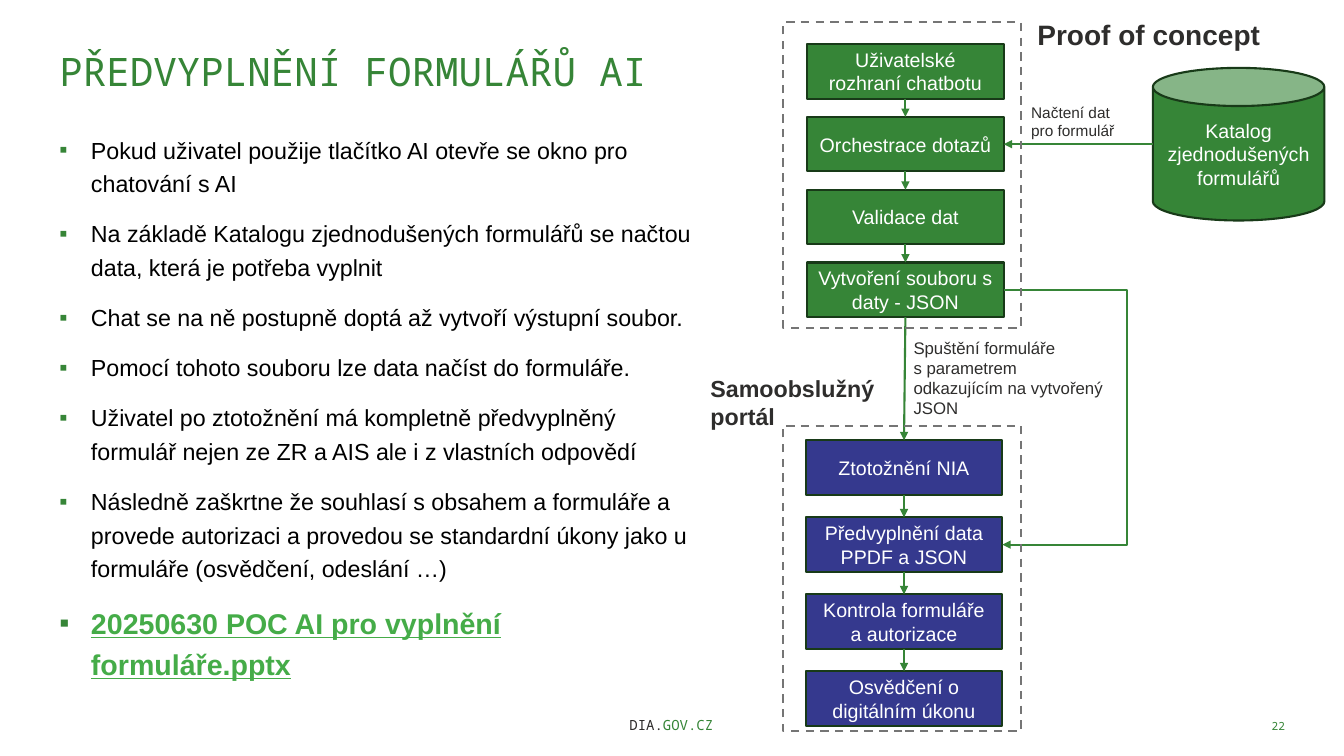
from itertools import pairwise

from lxml.etree import SubElement
from pptx import Presentation
from pptx.dml.color import RGBColor
from pptx.enum.dml import MSO_LINE
from pptx.enum.shapes import MSO_CONNECTOR, MSO_SHAPE
from pptx.enum.text import MSO_ANCHOR, MSO_AUTO_SIZE, PP_ALIGN
from pptx.oxml.ns import qn
from pptx.util import Pt

TOP, BOTTOM, RIGHT = 0, 2, 3


def color(value):
    return RGBColor.from_string(value)


class SlideBuilder:
    font = "Arial"
    mono = "Noto Sans Mono"
    green = "368537"
    blue = "35398E"
    outline = "183A18"
    ink = "2E2D2C"

    def __init__(self, slide):
        self.slide = slide

    def style(self, font, size, value, name=None, bold=False):
        font.name = name or self.font
        font.size = Pt(size)
        font.bold = bold
        font.color.rgb = color(value)

    def place(self, shape, left, top, width, height):
        shape.left, shape.top = Pt(left), Pt(top)
        shape.width, shape.height = Pt(width), Pt(height)

    def frame(self, shape, anchor=MSO_ANCHOR.TOP, inset=0):
        frame = shape.text_frame
        frame.word_wrap = True
        frame.auto_size = MSO_AUTO_SIZE.NONE
        frame.vertical_anchor = anchor
        frame.margin_left = frame.margin_right = Pt(inset)
        frame.margin_top = frame.margin_bottom = Pt(inset / 2)
        return frame

    def title(self, text, *box):
        shape = self.slide.shapes.title
        self.place(shape, *box)
        paragraph = self.frame(shape).paragraphs[0]
        paragraph.text = text
        paragraph.alignment = PP_ALIGN.LEFT
        self.style(paragraph.font, 28, self.green, self.mono)

    def bullets(self, items, link, *box):
        shape = self.slide.placeholders[1]
        self.place(shape, *box)
        frame = self.frame(shape)
        frame.text = "\n".join([*items, link])
        for index, paragraph in enumerate(frame.paragraphs):
            properties = paragraph._p.get_or_add_pPr()
            properties.set("marL", str(Pt(22.5)))
            properties.set("indent", str(Pt(-22.5)))
            bullet_color = SubElement(properties, qn("a:buClr"))
            SubElement(bullet_color, qn("a:srgbClr"), val=self.green)
            SubElement(properties, qn("a:buFont"), typeface=self.font)
            SubElement(properties, qn("a:buChar"), char="▪")
            paragraph.line_spacing = 1.2
            paragraph.space_before = Pt(8 if index else 0)
            paragraph.space_after = Pt(4)
            self.style(paragraph.font, 16.6, "000000")
        self.style(paragraph.font, 20.4, "45AC48", bold=True)
        paragraph.font.underline = True

    def label(self, text, size, *box, bold=False):
        frame = self.frame(self.slide.shapes.add_textbox(*map(Pt, box)))
        frame.text = text
        for paragraph in frame.paragraphs:
            self.style(paragraph.font, size, self.ink, bold=bold)

    def footer(self, parts, size, alignment, *box):
        shape = self.slide.shapes.add_textbox(*map(Pt, box))
        paragraph = self.frame(shape, MSO_ANCHOR.BOTTOM, 7.2).paragraphs[0]
        paragraph.alignment = alignment
        for text, value in parts:
            run = paragraph.add_run()
            run.text = text
            self.style(run.font, size, value, self.mono)

    def box(self, kind, text, fill, *box):
        shape = self.slide.shapes.add_shape(kind, *map(Pt, box))
        shape.shadow.inherit = False
        shape.fill.solid()
        shape.fill.fore_color.rgb = color(fill)
        shape.line.color.rgb = color(self.outline)
        shape.line.width = Pt(1.5)
        paragraph = self.frame(shape, MSO_ANCHOR.MIDDLE, 7.2).paragraphs[0]
        paragraph.text = text
        paragraph.alignment = PP_ALIGN.CENTER
        self.style(paragraph.font, 14, "FFFFFF")
        return shape

    def steps(self, texts, fill, left, top, pitch):
        boxes = [
            self.box(MSO_SHAPE.RECTANGLE, text, fill, left, top + row * pitch, 140.5, 39)
            for row, text in enumerate(texts)
        ]
        for upper, lower in pairwise(boxes):
            self.join(upper, BOTTOM, lower, TOP)
        return boxes

    def arrow(self, kind=MSO_CONNECTOR.STRAIGHT, start=(0, 0)):
        connector = self.slide.shapes.add_connector(kind, *map(Pt, start), 0, 0)
        connector.line.color.rgb = color(self.green)
        connector.line.width = Pt(1.5)
        SubElement(connector.line._get_or_add_ln(), qn("a:tailEnd"), type="triangle")
        SubElement(connector._element.spPr, qn("a:effectLst"))
        return connector

    def join(self, source, source_side, target, target_side, kind=MSO_CONNECTOR.STRAIGHT):
        connector = self.arrow(kind)
        connector.begin_connect(source, source_side)
        connector.end_connect(target, target_side)
        return connector

    def detour(self, source, target, reach):
        connector = self.join(source, RIGHT, target, RIGHT, MSO_CONNECTOR.ELBOW)
        bend = round(-reach * 100000 / connector.width.pt)
        guides = connector._element.spPr.find(qn("a:prstGeom")).get_or_add_avLst()
        SubElement(guides, qn("a:gd"), name="adj1", fmla=f"val {bend}")

    def dashed_group(self, *box):
        shape = self.slide.shapes.add_shape(MSO_SHAPE.RECTANGLE, *map(Pt, box))
        shape.shadow.inherit = False
        shape.fill.background()
        shape.line.color.rgb = color("757575")
        shape.line.width = Pt(1.5)
        shape.line.dash_style = MSO_LINE.DASH


def main():
    presentation = Presentation()
    presentation.slide_width, presentation.slide_height = Pt(960), Pt(540)
    slide = presentation.slides.add_slide(presentation.slide_layouts[1])
    builder = SlideBuilder(slide)

    builder.title("PŘEDVYPLNĚNÍ FORMULÁŘŮ AI", 42.5, 34, 875, 102)
    builder.bullets(
        [
            "Pokud uživatel použije tlačítko AI otevře se okno pro chatování s AI",
            "Na základě Katalogu zjednodušených formulářů se načtou data, která je potřeba vyplnit",
            "Chat se na ně postupně doptá až vytvoří výstupní soubor.",
            "Pomocí tohoto souboru lze data načíst do formuláře.",
            "Uživatel po ztotožnění má kompletně předvyplněný formulář nejen ze ZR a AIS ale i z vlastních odpovědí",
            "Následně zaškrtne že souhlasí s obsahem a formuláře a provede autorizaci a provedou se standardní úkony jako u formuláře (osvědčení, odeslání …)",
        ],
        "20250630 POC AI pro vyplnění formuláře.pptx",
        42.5, 93, 462, 377,
    )
    builder.footer(
        [("DIA.", "2E2C2B"), ("GOV.CZ", builder.green)],
        10, PP_ALIGN.CENTER, 268, 498, 423, 29,
    )
    builder.footer([("22", builder.green)], 8, PP_ALIGN.RIGHT, 774, 498, 151, 29)

    concept = builder.steps(
        ["Uživatelské rozhraní chatbotu", "Orchestrace dotazů", "Validace dat",
         "Vytvoření souboru s daty - JSON"],
        builder.green, 576.5, 31.5, 52,
    )
    portal = builder.steps(
        ["Ztotožnění NIA", "Předvyplnění data PPDF a JSON", "Kontrola formuláře a autorizace",
         "Osvědčení o digitálním úkonu"],
        builder.blue, 575.5, 314.5, 55,
    )
    builder.join(concept[-1], BOTTOM, portal[0], TOP)
    builder.detour(concept[-1], portal[1], 88.5)

    builder.box(MSO_SHAPE.CAN, "Katalog zjednodušených formulářů", builder.green,
                823.5, 48.5, 122.5, 109)
    builder.arrow(start=(823.5, 103)).end_connect(concept[1], RIGHT)

    for top in (16, 304):
        builder.dashed_group(559.5, top, 170, 218)

    builder.label("Načtení dat\npro formulář", 11, 736.5, 73.5, 74, 36)
    builder.label("Spuštění formuláře\ns parametrem\nodkazujícím na vytvořený\nJSON",
                  12, 652.5, 241, 142, 66)
    builder.label("Proof of concept", 20, 741, 12.5, 183, 36, bold=True)
    builder.label("Samoobslužný\nportál", 16.6, 507.5, 267.5, 140, 36, bold=True)
    presentation.save("out.pptx")


if __name__ == "__main__":
    main()
